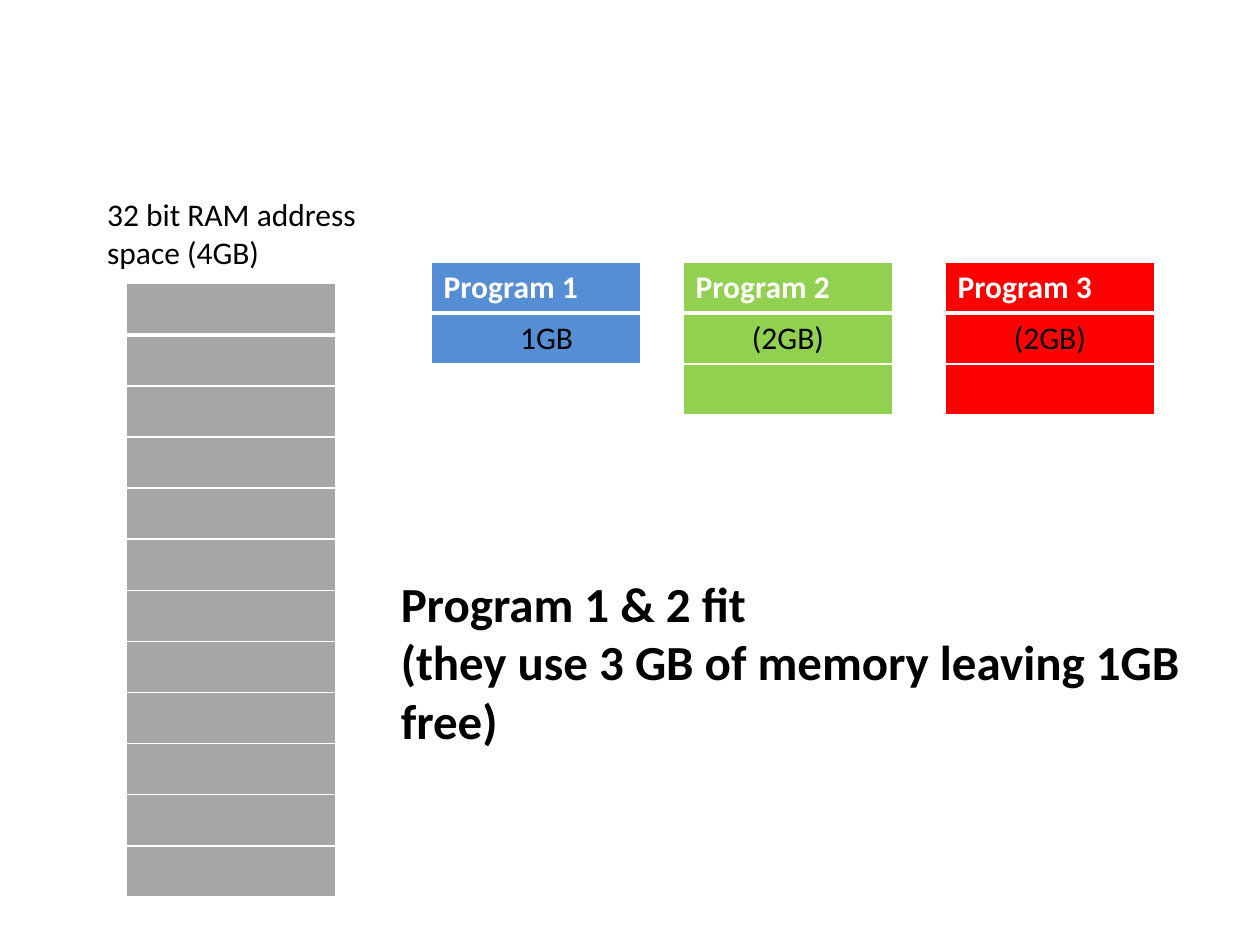
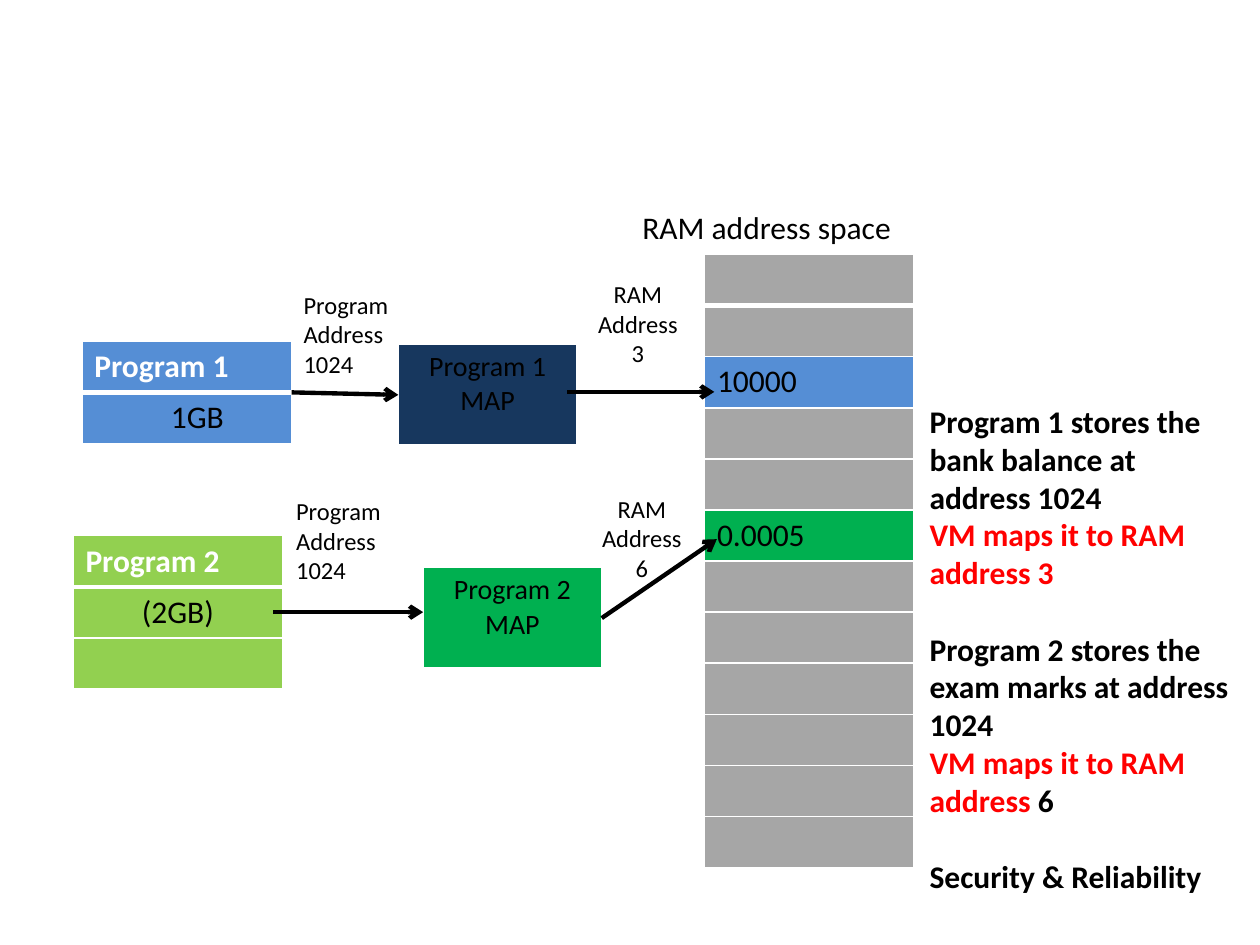
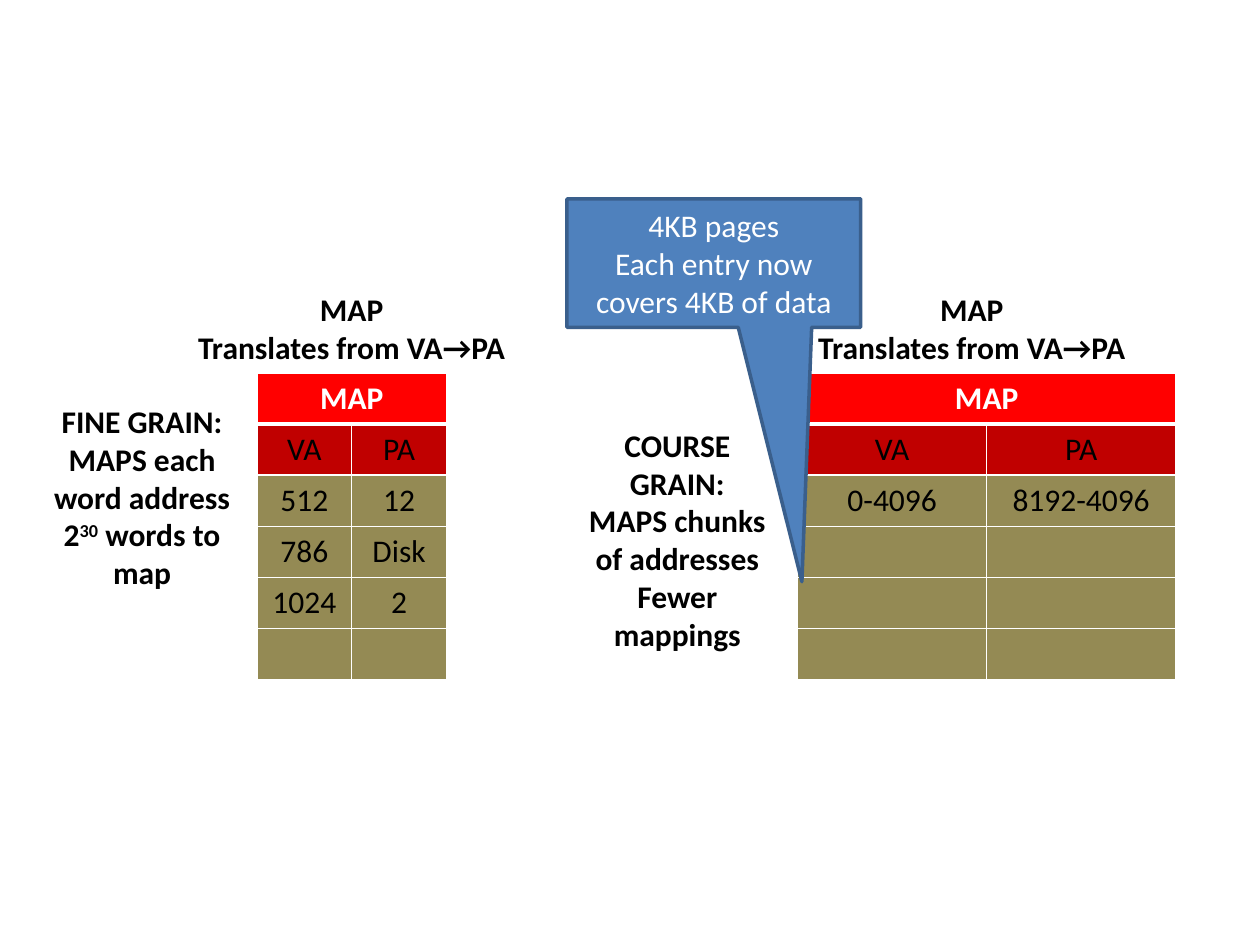
import pptx
import pptx.dml.color
import pptx.enum.shapes
import pptx.enum.text
import pptx.oxml.ns
import pptx.util
import lxml.etree

Cm = pptx.util.Cm
Pt = pptx.util.Pt
MID = pptx.enum.text.PP_ALIGN.CENTER
LEFT = pptx.enum.text.PP_ALIGN.LEFT
FONT = "Calibri"
BLACK, WHITE, RED, GRAY = "000000", "FFFFFF", "FF0000", "A6A6A6"
BLUE, LIME, GREEN, NAVY = "558ED5", "92D050", "00B050", "17375E"
DARK, KHAKI, STEEL, EDGE = "C00000", "948A54", "4F81BD", "3A5F8C"
ROW, WIDE = 1.03, 4.23
PROGS = {1: (BLUE, "1GB", 2), 2: (LIME, "(2GB)", 3), 3: (RED, "(2GB)", 3)}


def paint(fill, code):
    """Give a fill one solid colour."""
    fill.solid()
    fill.fore_color.rgb = pptx.dml.color.RGBColor.from_string(code)


def apply(item, values):
    """Set the attributes of an item from a dict."""
    for name, value in values.items():
        setattr(item, name, value)


def node(home, tag, **attrs):
    """Append a drawing element to a parent element."""
    return lxml.etree.SubElement(home, pptx.oxml.ns.qn(tag), attrs)


def write(frame, paras, size=18, color=BLACK, bold=False, align=LEFT, gaps=()):
    """Fill a text frame; a paragraph is a string or a list of run tuples."""
    for i, para in enumerate(paras):
        line = frame.add_paragraph() if i else frame.paragraphs[0]
        line.alignment = align
        if i in gaps:
            line.space_before = Pt(22)
        runs = [(para, color)] if isinstance(para, str) else para
        for text, tint, *base in runs:
            run = line.add_run()
            run.text = text
            apply(run.font, {"name": FONT, "size": Pt(size), "bold": bold})
            paint(run.font.fill, tint)
            if base:
                run.font._element.set("baseline", str(base[0] * 1000))


def label(slide, box, paras, **look):
    """Add a wrapping text box."""
    frame = slide.shapes.add_textbox(*map(Cm, box)).text_frame
    apply(frame, {"word_wrap": True,
                  "auto_size": pptx.enum.text.MSO_AUTO_SIZE.SHAPE_TO_FIT_TEXT})
    write(frame, paras, **look)


def edge(cell, top, bottom):
    """Draw the white borders of a cell with given top and bottom widths."""
    props = cell._tc.get_or_add_tcPr()
    for side, width in zip("LRTB", (1, 1, top, bottom)):
        line = node(props, f"a:ln{side}", w=str(Pt(width)))
        node(node(line, "a:solidFill"), "a:srgbClr", val=WHITE)


def grid(slide, left, top, width, cols, fills, high=ROW):
    """Add a table with one fill per row and a thick rule under the first."""
    count = len(fills)
    frame = slide.shapes.add_table(
        count, cols, *map(Cm, (left, top, width * cols, high * count)))
    table = frame.table
    apply(table, {"first_row": False, "horz_banding": False})
    for col in table.columns:
        col.width = Cm(width)
    for i, code in enumerate(fills):
        table.rows[i].height = Cm(high)
        for cell in table.rows[i].cells:
            edge(cell, 3 if i == 1 else 1, 1 if i else 3)
            paint(cell.fill, code)
    return frame


def prog(slide, num, left, top):
    """Add the memory block of a program."""
    code, size, count = PROGS[num]
    frame = grid(slide, left, top, WIDE, 1, [code] * count)
    cell = frame.table.cell
    write(cell(0, 0).text_frame, [f"Program {num}"], color=WHITE, bold=True)
    write(cell(1, 0).text_frame, [size], align=MID)
    if num == 1:
        cell(1, 0).margin_left = Cm(0.68)
    return frame


def ram(slide, left, top, used):
    """Add the memory column; used maps a row to its text and fill."""
    fills = [used.get(i, ("", GRAY))[1] for i in range(12)]
    table = grid(slide, left, top, WIDE, 1, fills).table
    for i, (text, _) in used.items():
        write(table.cell(i, 0).text_frame, [text])


def block(slide, num, left, top, code):
    """Add the map block of a program."""
    frame = grid(slide, left, top, 3.6, 1, [code], 2.06)
    write(frame.table.cell(0, 0).text_frame, [f"Program {num}", "MAP"],
          size=16, align=MID)
    return frame


def arrow(slide, start, end, tail=None, head=None):
    """Add an arrow, joined to the side of a block where one is given."""
    line = slide.shapes.add_connector(
        pptx.enum.shapes.MSO_CONNECTOR.STRAIGHT, *map(Cm, start + end))
    if tail:
        line.begin_connect(tail, 3)
    if head:
        line.end_connect(head, 1)
    paint(line.line.fill, BLACK)
    line.line.width = Pt(2.5)
    node(line.line._get_or_add_ln(), "a:tailEnd", type="arrow")
    node(line._element.spPr, "a:effectLst")


def chart(slide, left, width, rows):
    """Add an address map table with its heading rows."""
    fills = [RED, DARK] + [KHAKI] * 4
    table = grid(slide, left, 7.52, width, 2, fills).table
    table.cell(0, 0).merge(table.cell(0, 1))
    write(table.cell(0, 0).text_frame, ["MAP"], color=WHITE, bold=True, align=MID)
    for i, row in enumerate([("VA", "PA")] + rows, 1):
        for j, text in enumerate(row):
            write(table.cell(i, j).text_frame, [text], align=MID)


def bubble(slide, box, paras):
    """Add the callout that points into a map."""
    shape = slide.shapes.add_shape(
        pptx.enum.shapes.MSO_SHAPE.RECTANGULAR_CALLOUT, *map(Cm, box))
    shape.shadow.inherit = False
    shape.adjustments[0], shape.adjustments[1] = 0.3, 2.48
    paint(shape.fill, STEEL)
    paint(shape.line.fill, EDGE)
    shape.line.width = Pt(2)
    apply(shape.text_frame, {
        "word_wrap": True,
        "vertical_anchor": pptx.enum.text.MSO_ANCHOR.MIDDLE})
    write(shape.text_frame, paras, color=WHITE, align=MID)


def fit(slide):
    """Build the slide on which programs fit in memory."""
    for num, left in ((2, 13.77), (1, 8.69), (3, 19.05)):
        prog(slide, num, left, 5.28)
    ram(slide, 2.54, 5.72, {})
    label(slide, (1.91, 3.81, 6.56, 1.8), ["32 bit RAM address space (4GB)"])
    label(slide, (7.83, 11.43, 16.51, 3.84),
          ["Program 1 & 2 fit", "(they use 3 GB of memory leaving 1GB free)"],
          size=28, bold=True)


def share(slide):
    """Build the slide on which two programs share memory."""
    prog(slide, 2, 1.47, 10.8)
    first = prog(slide, 1, 1.65, 6.88)
    ram(slide, 14.2, 5.13, {2: ("10000", BLUE), 5: ("0.0005", GREEN)})
    map1 = block(slide, 1, 8.03, 6.93, NAVY)
    map2 = block(slide, 2, 8.53, 11.43, GREEN)
    label(slide, (12.7, 4.06, 6.56, 1.02), ["RAM address space"])
    arrow(slide, (5.88, 7.91), (8.03, 7.96), first, map1)
    arrow(slide, (5.51, 12.34), (8.53, 12.34))
    arrow(slide, (11.43, 7.9), (14.4, 7.9))
    arrow(slide, (12.13, 12.46), (14.45, 10.87), map2)
    label(slide, (18.49, 7.98, 6.56, 10.26), [
        "Program 1 stores the bank balance at address 1024",
        [("VM maps it to RAM address 3", RED)],
        "Program 2 stores the exam marks at address 1024",
        [("VM maps it to RAM address ", RED), ("6", BLACK)],
        "Security & Reliability"], bold=True, gaps=(2, 4))
    for left, top in ((5.87, 5.72), (5.72, 9.88)):
        label(slide, (left, top, 3.02, 2.06), ["Program Address", "1024"], size=14)
    for left, top, num in ((11.35, 5.51, "3"), (11.43, 9.83, "6")):
        label(slide, (left, top, 3.02, 2.06), ["RAM Address", num],
              size=14, align=MID)


def grain(slide):
    """Build the slide that compares fine and coarse maps."""
    look = {"bold": True, "align": MID}
    chart(slide, 5.18, 1.91, [("512", "12"), ("786", "Disk"), ("1024", "2")])
    chart(slide, 16.08, 3.81, [("0-4096", "8192-4096")])
    for left in (3.38, 15.88):
        label(slide, (left, 5.72, 7.42, 1.8),
              ["MAP", "Translates from VA→PA"], **look)
    label(slide, (0.64, 7.98, 4.45, 4.11), [
        "FINE GRAIN:", "MAPS each word address",
        [("2", BLACK), ("30", BLACK, 30), (" words to map", BLACK)]], **look)
    label(slide, (11.43, 8.46, 4.45, 4.88), [
        "COURSE GRAIN:", "MAPS chunks of addresses Fewer mappings"], **look)
    bubble(slide, (11.43, 4.01, 5.92, 2.59),
           ["4KB pages", "Each entry now covers 4KB of data"])


def main():
    """Build and save the slides."""
    deck = pptx.Presentation()
    apply(deck, {"slide_width": Cm(25.4), "slide_height": Cm(19.05)})
    for build in (fit, share, grain):
        build(deck.slides.add_slide(deck.slide_layouts[6]))
    deck.save("out.pptx")


if __name__ == "__main__":
    main()
